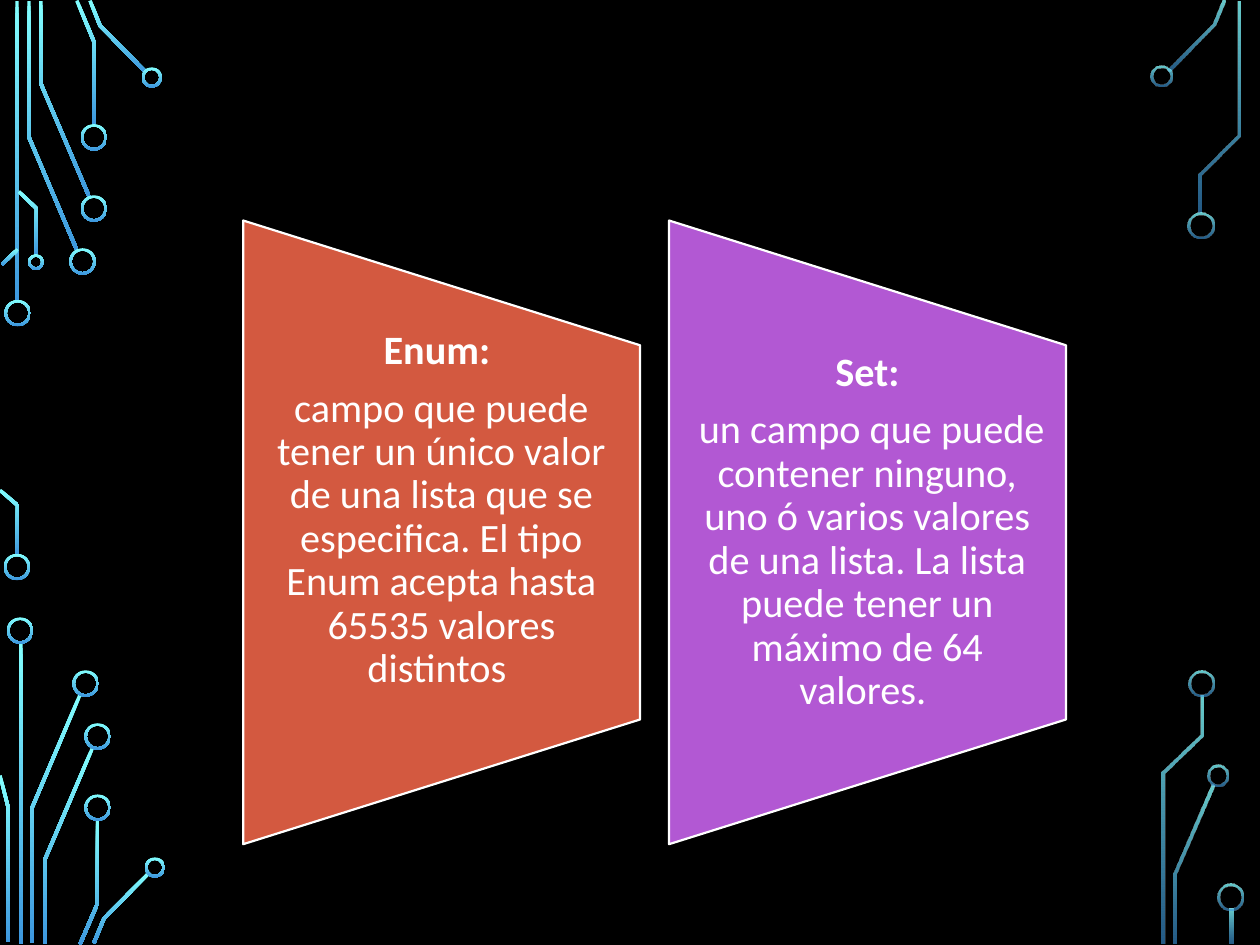
from math import hypot

from lxml.etree import SubElement
from pptx import Presentation
from pptx.dml.color import RGBColor
from pptx.enum.shapes import MSO_SHAPE
from pptx.enum.text import MSO_ANCHOR, PP_ALIGN
from pptx.oxml.ns import qn
from pptx.util import Inches, Pt

BLACK = RGBColor(0x00, 0x00, 0x00)
WHITE = RGBColor(0xFF, 0xFF, 0xFF)
CYAN = RGBColor(0x82, 0xFF, 0xFF)
BLUE = RGBColor(0x3D, 0x97, 0xDE)
ORANGE = RGBColor(0xD3, 0x59, 0x40)
PURPLE = RGBColor(0xB2, 0x58, 0xD3)

OPAQUE = (100, 100)
FADED = (80, 60)
LARGE, MEDIUM, SMALL, TINY = 2.1, 1.7, 1.6, 1.25

LEFT_TRACES = [
    [(1.35, 0.1), (1.35, 24)],
    [(2.3, 0.1), (2.3, 10.9), (6.1, 19.85)],
    [(3.25, 0.1), (3.25, 6.65), (7.1, 15.65)],
    [(6.1, 0.05), (7.45, 3.3), (7.45, 10)],
    [(7.15, 0.05), (7.95, 2.05), (11.55, 5.7)],
    [(0.15, 21), (1.4, 19.8)],
    [(0, 38.9), (1.4, 40.1), (1.4, 44.1)],
    [(1.5, 15.2), (2.9, 16.55), (2.9, 20.3)],
    [(1.65, 51), (1.65, 74.9)],
    [(2.55, 74.8), (2.55, 64.1), (6.35, 55.15)],
    [(0, 61.55), (0.65, 64.1), (0.65, 74.8)],
    [(3.55, 74.9), (3.55, 68.25), (7.35, 59.35)],
    [(6.35, 74.95), (7.75, 71.7), (7.75, 65)],
    [(7.45, 74.85), (8.25, 72.9), (11.8, 69.3)],
]
LEFT_RINGS = [
    (1.4, 24.85, LARGE), (1.35, 45, LARGE), (6.55, 20.75, LARGE),
    (7.45, 16.55, LARGE), (7.45, 10.9, LARGE), (1.6, 50.05, LARGE),
    (6.8, 54.25, LARGE), (7.75, 58.45, LARGE), (7.75, 64.1, LARGE),
    (12.05, 6.15, SMALL), (12.3, 68.85, SMALL), (2.85, 20.8, TINY),
]
RIGHT_TRACES = [
    [(92.75, 5.55), (96.3, 1.95), (97.1, 0.05)],
    [(93.3, 74.9), (93.3, 69.35), (96.3, 62.35)],
    [(95.25, 16.9), (95.25, 13.85), (98.35, 10.75), (98.35, 0.1)],
    [(92.35, 74.9), (92.35, 61.35), (95.35, 58.35), (95.35, 55.2)],
    [(97.75, 72.1), (97.75, 74.9)],
]
RIGHT_RINGS = [
    (95.3, 17.9, LARGE), (95.35, 54.25, LARGE), (97.65, 71.2, LARGE),
    (92.2, 6.05, MEDIUM), (96.65, 61.55, MEDIUM),
]
CARDS = [
    (ORANGE, "Enum: ",
     "campo que puede tener un único valor de una lista que se especifica. "
     "El tipo Enum acepta hasta 65535 valores distintos ", True),
    (PURPLE, "Set:",
     " un campo que puede contener ninguno, uno ó varios valores de una "
     "lista. La lista puede tener un máximo de 64 valores. ", False),
]


def cells(n):
    """Length of n cells in a grid of 100 columns by 75 rows."""
    return Inches(n / 10)


def offset_side(points, half):
    """Shift a polyline sideways by half, with mitred corners."""
    normals = []
    for (x1, y1), (x2, y2) in zip(points, points[1:]):
        length = hypot(x2 - x1, y2 - y1)
        normals.append(((y1 - y2) / length, (x2 - x1) / length))
    before, after = [normals[0]] + normals, normals + [normals[-1]]
    side = []
    for (x, y), (ax, ay), (bx, by) in zip(points, before, after):
        k = half / (1 + ax * bx + ay * by)
        side.append((x + k * (ax + bx), y + k * (ay + by)))
    return side


class CircuitSlide:
    font, size = "Calibri", Pt(23)
    trace_width, ring_band = 0.27, 0.2

    def __init__(self, prs):
        self.s = prs.slides.add_slide(prs.slide_layouts[6])
        self.s.background.fill.solid()
        self.s.background.fill.fore_color.rgb = BLACK

    def glow(self, sp, alphas):
        """Fill from cyan at the top to blue at the bottom, in percent opacity."""
        sp.shadow.inherit = False
        sp.line.fill.background()
        sp.fill.gradient()
        sp.fill.gradient_angle = 270
        for stop, color in zip(sp.fill.gradient_stops, (CYAN, BLUE)):
            stop.color.rgb = color
        if alphas != OPAQUE:
            for clr, alpha in zip(sp._element.spPr.iter(qn("a:srgbClr")), alphas):
                SubElement(clr, qn("a:alpha"), val=str(alpha * 1000))

    def trace(self, points, alphas):
        half = self.trace_width / 2
        outline = offset_side(points, half) + offset_side(points, -half)[::-1]
        outline = [(cells(x), cells(y)) for x, y in outline]
        builder = self.s.shapes.build_freeform(*outline[0])
        builder.add_line_segments(outline[1:], close=True)
        self.glow(builder.convert_to_shape(), alphas)

    def ring(self, x, y, size, alphas):
        """Ring centred on x, y."""
        sp = self.s.shapes.add_shape(
            MSO_SHAPE.DONUT, cells(x - size / 2), cells(y - size / 2),
            cells(size), cells(size))
        sp.adjustments[0] = self.ring_band / size
        self.glow(sp, alphas)

    def circuit(self, traces, rings, alphas):
        for points in traces:
            self.trace(points, alphas)
        for x, y, size in rings:
            self.ring(x, y, size, alphas)

    def panel(self, x, y, w, h, color):
        sp = self.s.shapes.add_shape(
            MSO_SHAPE.FLOWCHART_MANUAL_OPERATION,
            cells(x), cells(y), cells(w), cells(h))
        sp.rotation = 270
        sp.shadow.inherit = False
        sp.fill.solid()
        sp.fill.fore_color.rgb = color
        sp.line.color.rgb = WHITE
        sp.line.width = Pt(1.25)

    def text(self, x, y, w, h, heading, body, break_after):
        tf = self.s.shapes.add_textbox(cells(x), cells(y), cells(w), cells(h)).text_frame
        tf.word_wrap = True
        tf.vertical_anchor = MSO_ANCHOR.MIDDLE
        tf.margin_left = tf.margin_right = cells(1.6)
        tf.margin_top = tf.margin_bottom = 0
        for p, words, bold in ((tf.paragraphs[0], heading, True),
                               (tf.add_paragraph(), body, False)):
            p.add_run().text = words
            p.alignment = PP_ALIGN.CENTER
            p.line_spacing = 0.9
            p.space_after = Pt(8)
            p.font.name, p.font.size, p.font.bold = self.font, self.size, bold
            p.font.color.rgb = WHITE
        if break_after:
            p.add_line_break()


def main():
    prs = Presentation()
    prs.slide_width, prs.slide_height = cells(100), cells(75)
    slide = CircuitSlide(prs)
    slide.circuit(LEFT_TRACES, LEFT_RINGS, OPAQUE)
    slide.circuit(RIGHT_TRACES, RIGHT_RINGS, FADED)
    for i, (color, heading, body, break_after) in enumerate(CARDS):
        shift = i * 33.8
        slide.panel(10.3 + shift, 26.5, 49.5, 31.5, color)
        slide.text(19.3 + shift, 27.4, 31.5, 29.7, heading, body, break_after)
    prs.save("out.pptx")


if __name__ == "__main__":
    main()
